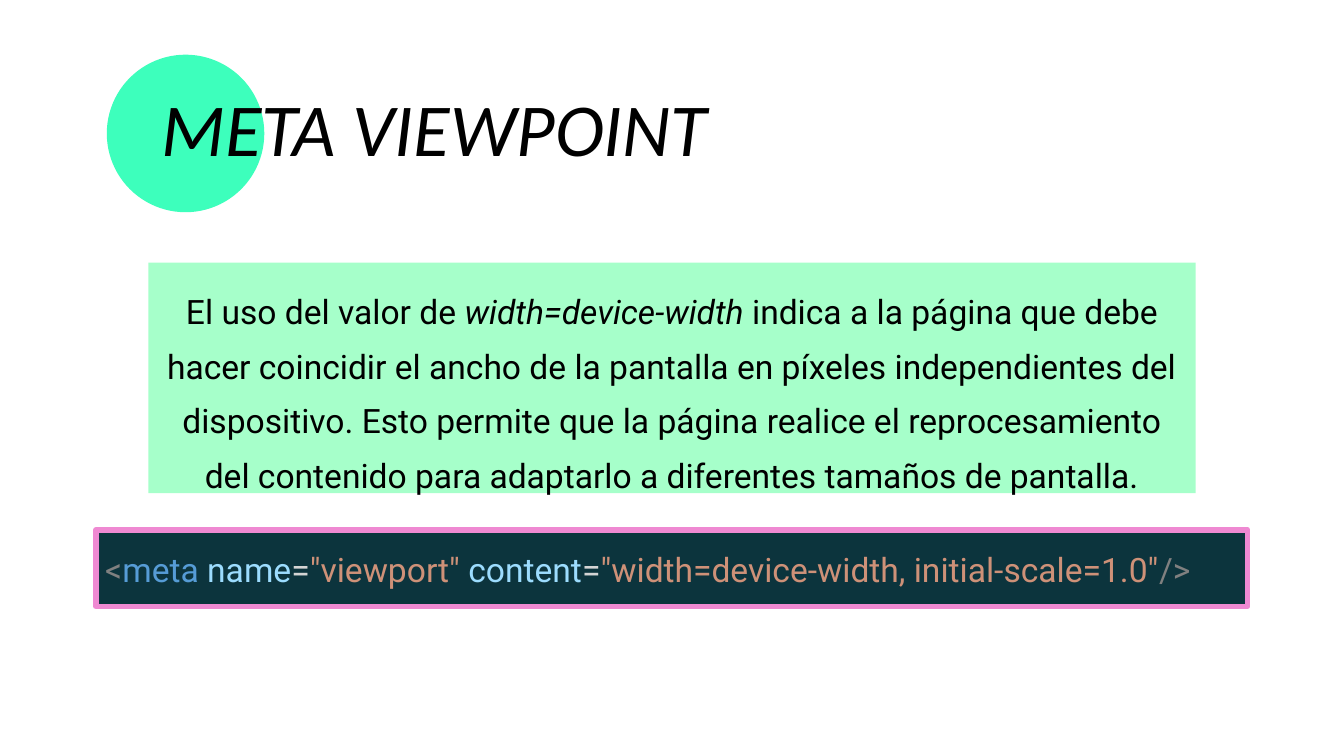
"""Build the viewport meta tag slide."""
import pptx
import pptx.dml.color
import pptx.enum.shapes
import pptx.enum.text
import pptx.oxml
import pptx.oxml.ns
import pptx.util

Pt = pptx.util.Pt
SHAPE = pptx.enum.shapes.MSO_SHAPE
ALIGN = pptx.enum.text.PP_ALIGN
TOP = pptx.enum.text.MSO_ANCHOR.TOP


def rgb(value):
    return pptx.dml.color.RGBColor.from_string(value)


def write(tf, runs, font, paragraph):
    p = tf.paragraphs[0]
    for name, value in paragraph.items():
        setattr(p, name, value)
    for text, color, italic in runs:
        r = p.add_run()
        r.text = text
        for name, value in {**font, "italic": italic}.items():
            setattr(r.font, name, value)
        r.font.color.rgb = rgb(color)


prs = pptx.Presentation()
prs.slide_width, prs.slide_height = Pt(720), Pt(405)
s = prs.slides.add_slide(prs.slide_layouts[6])
roboto = {"name": "Roboto", "size": Pt(18)}

circle = s.shapes.add_shape(SHAPE.OVAL, Pt(57.2), Pt(29.3), Pt(84.4), Pt(84.4))
circle.fill.solid()
circle.fill.fore_color.rgb = rgb("3DFFBC")

title = s.shapes.add_textbox(Pt(79.5), Pt(29.3), Pt(561), Pt(54.7))
write(title.text_frame, [("META VIEWPOINT", "000000", True)],
      {"name": "Calibri", "size": Pt(40)},
      {"alignment": ALIGN.JUSTIFY, "line_spacing": 1.15,
       "space_before": Pt(20), "space_after": Pt(6)})

table = s.shapes.add_table(2, 1, Pt(51.4), Pt(283), Pt(617), Pt(43.2)).table
table.columns[0].width = Pt(617)
for row, height in zip(table.rows, (42.5, 0.7)):
    row.height = Pt(height)
    cell = row.cells[0]
    for side in ("left", "right", "top", "bottom"):
        setattr(cell, f"margin_{side}", Pt(5))
    tcPr = cell._tc.get_or_add_tcPr()
    for edge in ("lnL", "lnR", "lnT", "lnB"):
        tcPr.append(pptx.oxml.parse_xml(
            f'<a:{edge} {pptx.oxml.ns.nsdecls("a")} w="9525"><a:solidFill>'
            f'<a:srgbClr val="FFFFFF"/></a:solidFill></a:{edge}>'))
    cell.fill.solid()
    cell.fill.fore_color.rgb = rgb("0C343D")

code = table.cell(0, 0)
code.merge(table.cell(1, 0))
tokens = [
    ("<", "808080"), ("meta ", "569CD6"),
    ("name", "9CDCFE"), ("=", "D4D4D4"), ('"viewport" ', "CE9178"),
    ("content", "9CDCFE"), ("=", "D4D4D4"),
    ('"width=device-width, initial-scale=1.0"', "CE9178"), ("/>", "808080"),
]
write(code.text_frame, [(text, color, False) for text, color in tokens], roboto,
      {"alignment": ALIGN.JUSTIFY, "line_spacing": 1.36})

body = s.shapes.add_shape(SHAPE.RECTANGLE, Pt(79.5), Pt(140.7), Pt(561), Pt(123.5))
body.fill.solid()
body.fill.fore_color.rgb = rgb("A6FFCA")
write(body.text_frame, [
    ("El uso del valor de ", "000000", False),
    ("width=device-width ", "000000", True),
    ("indica a la página que debe hacer coincidir el ancho de la pantalla en "
     "píxeles independientes del dispositivo. Esto permite que la página realice "
     "el reprocesamiento del contenido para adaptarlo a diferentes tamaños de "
     "pantalla.", "000000", False),
], roboto, {"alignment": ALIGN.CENTER, "line_spacing": 1.36, "space_after": Pt(11)})

for box in (title, body):
    tf = box.text_frame
    margins = {f"margin_{side}": Pt(7.2) for side in ("left", "right", "top", "bottom")}
    for name, value in {"word_wrap": True, "vertical_anchor": TOP, **margins}.items():
        setattr(tf, name, value)

frame = s.shapes.add_shape(SHAPE.RECTANGLE, Pt(51.4), Pt(283.9), Pt(617), Pt(41))
frame.fill.background()
frame.line.color.rgb = rgb("EF89D2")
frame.line.width = Pt(3)

for sp in (circle, body, frame):
    sp.shadow.inherit = False
for sp in (circle, body):
    sp.line.fill.background()

prs.save("out.pptx")
